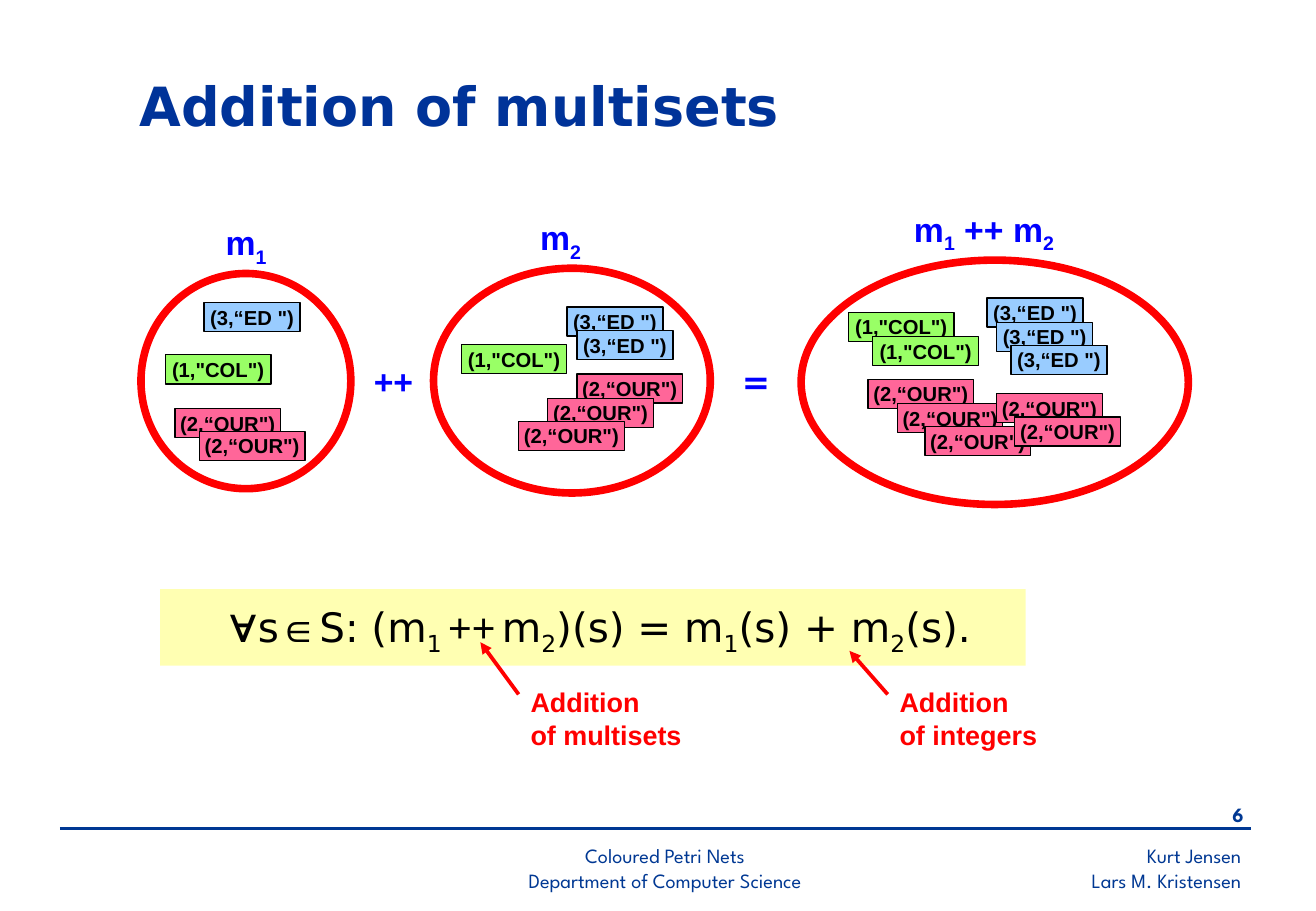
"""Build the slide on addition of multisets."""
from lxml import etree
from pptx import Presentation
from pptx.dml.color import RGBColor
from pptx.enum.shapes import MSO_CONNECTOR, MSO_SHAPE
from pptx.enum.text import MSO_ANCHOR, PP_ALIGN
from pptx.oxml.ns import qn
from pptx.util import Cm, Pt

NAVY = RGBColor(0x00, 0x38, 0x93)
TITLE_BLUE = RGBColor(0x00, 0x33, 0x99)
BLUE = RGBColor(0x00, 0x00, 0xFF)
RED = RGBColor(0xFF, 0x00, 0x00)
BLACK = RGBColor(0x00, 0x00, 0x00)
YELLOW = RGBColor(0xFF, 0xFF, 0x66)
GREEN = RGBColor(0x99, 0xFF, 0x66)
PINK = RGBColor(0xFF, 0x66, 0x99)
SKY = RGBColor(0x99, 0xCC, 0xFF)

LEFT, CENTER, RIGHT = PP_ALIGN.LEFT, PP_ALIGN.CENTER, PP_ALIGN.RIGHT
TOP, MIDDLE = MSO_ANCHOR.TOP, MSO_ANCHOR.MIDDLE
RECT, OVAL = MSO_SHAPE.RECTANGLE, MSO_SHAPE.OVAL
STRAIGHT = MSO_CONNECTOR.STRAIGHT

ARIAL, DEJAVU, SPARTAN = "Arial", "DejaVu Sans", "League Spartan"

TOKENS = {
    "COL": ('(1,"COL")', GREEN, 2.21),
    "OUR": ('(2,“OUR")', PINK, 2.21),
    "ED": ('(3,“ED ")', SKY, 2.01),
}
TOKEN_HEIGHT = 0.61
LABEL_HEIGHT = 1.2

MULTISETS = [
    ((2.95, 5.72, 4.39, 4.5), 1.52, [("m", False), ("1", True)],
     [("COL", 0.51, 1.7), ("OUR", 0.71, 2.82), ("OUR", 1.22, 3.3),
      ("ED", 1.32, 0.61)]),
    ((9.07, 5.61, 5.79, 4.7), 1.98, [("m", False), ("2", True)],
     [("COL", 0.58, 1.6), ("OUR", 3, 2.21), ("ED", 2.79, 0.81),
      ("OUR", 2.39, 2.72), ("ED", 3, 1.3), ("OUR", 1.78, 3.2)]),
    ((16.76, 5.44, 8.1, 5.11), 2.11,
     [("m", False), ("1", True), (" ++ m", False), ("2", True)],
     [("COL", 0.99, 1.09), ("OUR", 1.4, 2.49), ("ED", 3.89, 0.79),
      ("OUR", 2.01, 3), ("ED", 4.09, 1.3), ("ED", 4.39, 1.78),
      ("COL", 1.5, 1.6), ("OUR", 2.59, 3.48), ("OUR", 4.09, 2.79),
      ("OUR", 4.47, 3.28)]),
]

FORMULA = [
    ("∀", 28, ARIAL, False), ("s", 24, DEJAVU, False),
    ("∈", 24, ARIAL, False), ("S: (m", 24, DEJAVU, False),
    ("1", 24, DEJAVU, True), (" ", 12, DEJAVU, False),
    ("++", 24, ARIAL, False), (" ", 12, DEJAVU, False),
    ("m", 24, DEJAVU, False), ("2", 24, DEJAVU, True),
    (")(s) = m", 24, DEJAVU, False), ("1", 24, DEJAVU, True),
    ("(s) + m", 24, DEJAVU, False), ("2", 24, DEJAVU, True),
    ("(s).", 24, DEJAVU, False),
]


def style(font, size, name, color, bold=False):
    """Set the size, typeface, colour and weight of a font."""
    font.size, font.name, font.bold = Pt(size), name, bold
    font.color.rgb = color


def add_run(p, text, size, name, color, bold=False, sub=False):
    """Append a run, lowered when it is a subscript."""
    r = p.add_run()
    r.text = text
    style(r.font, size, name, color, bold)
    if sub:
        r._r.get_or_add_rPr().set("baseline", "-25000")


def add_text(s, box, text, size, name, color, bold=False, align=LEFT, anchor=TOP):
    """Add a wrapping text box in one style and return its text frame."""
    tf = s.shapes.add_textbox(*map(Cm, box)).text_frame
    tf.word_wrap, tf.vertical_anchor = True, anchor
    tf.text = text
    for p in tf.paragraphs:
        p.alignment = align
        for r in p.runs:
            style(r.font, size, name, color, bold)
    return tf


def add_shape(s, kind, box, fill=None, line=None, width=0.75):
    """Add a flat preset shape with an optional fill and outline."""
    sp = s.shapes.add_shape(kind, *map(Cm, box))
    sp.shadow.inherit = False
    if fill is None:
        sp.fill.background()
    else:
        sp.fill.solid()
        sp.fill.fore_color.rgb = fill
    if line is None:
        sp.line.fill.background()
    else:
        sp.line.color.rgb = line
        sp.line.width = Pt(width)
    return sp


def add_line(s, start, end, color, width, arrow=False):
    """Draw a straight line, with an arrowhead at its end on request."""
    sp = s.shapes.add_connector(STRAIGHT, *map(Cm, start + end))
    sp.line.color.rgb = color
    sp.line.width = Pt(width)
    props = sp._element.spPr
    if arrow:
        etree.SubElement(props.find(qn("a:ln")), qn("a:tailEnd"), type="triangle")
    etree.SubElement(props, qn("a:effectLst"))


def add_token(s, left, top, key):
    """Place one coloured token with its value."""
    text, fill, width = TOKENS[key]
    sp = add_shape(s, RECT, (left, top, width, TOKEN_HEIGHT), fill, BLACK)
    tf = sp.text_frame
    tf.word_wrap, tf.vertical_anchor = False, MIDDLE
    p = tf.paragraphs[0]
    p.alignment = CENTER
    add_run(p, text, 12, ARIAL, BLACK, True)


def add_multiset(s, box, label_dx, label, tokens):
    """Draw a multiset: its ring, the label above and the tokens inside."""
    left, top, width, _ = box
    for key, dx, dy in tokens:
        add_token(s, left + dx, top + dy, key)
    add_shape(s, OVAL, box, line=RED, width=4.5)
    label_box = (left + label_dx, top - LABEL_HEIGHT, width - label_dx, LABEL_HEIGHT)
    tf = add_text(s, label_box, "", 20, ARIAL, BLUE)
    for text, sub in label:
        add_run(tf.paragraphs[0], text, 20, ARIAL, BLUE, True, sub)


def add_formula(s, box):
    """Write the definition on a half-transparent yellow band."""
    sp = add_shape(s, RECT, box, YELLOW)
    color = sp._element.spPr.find(qn("a:solidFill"))[0]
    etree.SubElement(color, qn("a:alpha"), val="50000")
    tf = sp.text_frame
    tf.word_wrap, tf.vertical_anchor = True, TOP
    tf.margin_left = Cm(1.46)
    p = tf.paragraphs[0]
    p.alignment = LEFT
    for text, size, name, sub in FORMULA:
        add_run(p, text, size, name, BLACK, sub=sub)


def add_annotation(s, left, top, text, rise):
    """Write a red note with an arrow rising to the formula."""
    add_line(s, (left, top + 0.3), (left - 0.8, top + 0.3 - rise), RED, 2.25, True)
    add_text(s, (left, top, 4.6, 1.63), text, 16, ARIAL, RED, True)


def add_footer(s, left, top, width):
    """Add the rule, page number, course and authors."""
    right = left + width
    add_line(s, (left, top), (right, top), NAVY, 1.5)
    add_text(s, (right - 1.7, top - 0.66, 1.8, 0.84), "6",
             12, SPARTAN, NAVY, True, RIGHT)
    add_text(s, (left + 7.42, top + 0.2, 10.49, 1.2),
             "Coloured Petri Nets\nDepartment of Computer Science",
             12, SPARTAN, NAVY, align=CENTER)
    add_text(s, (right - 8.5, top + 0.2, 8.55, 1.27),
             "Kurt Jensen\nLars M. Kristensen", 12, SPARTAN, NAVY, align=RIGHT)


def main():
    """Assemble and save the slide."""
    prs = Presentation()
    prs.slide_width, prs.slide_height = Cm(27.53), Cm(19.05)
    s = prs.slides.add_slide(prs.slide_layouts[6])
    add_footer(s, 1.25, 17.32, 24.92)
    add_text(s, (2.67, 1.32, 21.11, 1.75), "Addition of multisets",
             32, DEJAVU, TITLE_BLUE, True, anchor=MIDDLE)
    add_formula(s, (3.35, 12.32, 18.11, 1.6))
    for multiset in MULTISETS:
        add_multiset(s, *multiset)
    for left, sign, name in ((7.57, "++", ARIAL), (15.27, "=", DEJAVU)):
        add_text(s, (left, 7.42, 1.6, LABEL_HEIGHT), sign, 20, name, BLUE, True)
    add_annotation(s, 10.85, 14.22, "Addition\vof multisets", 1.09)
    add_annotation(s, 18.57, 14.22, "Addition\vof integers", 0.91)
    prs.save("out.pptx")


if __name__ == "__main__":
    main()
